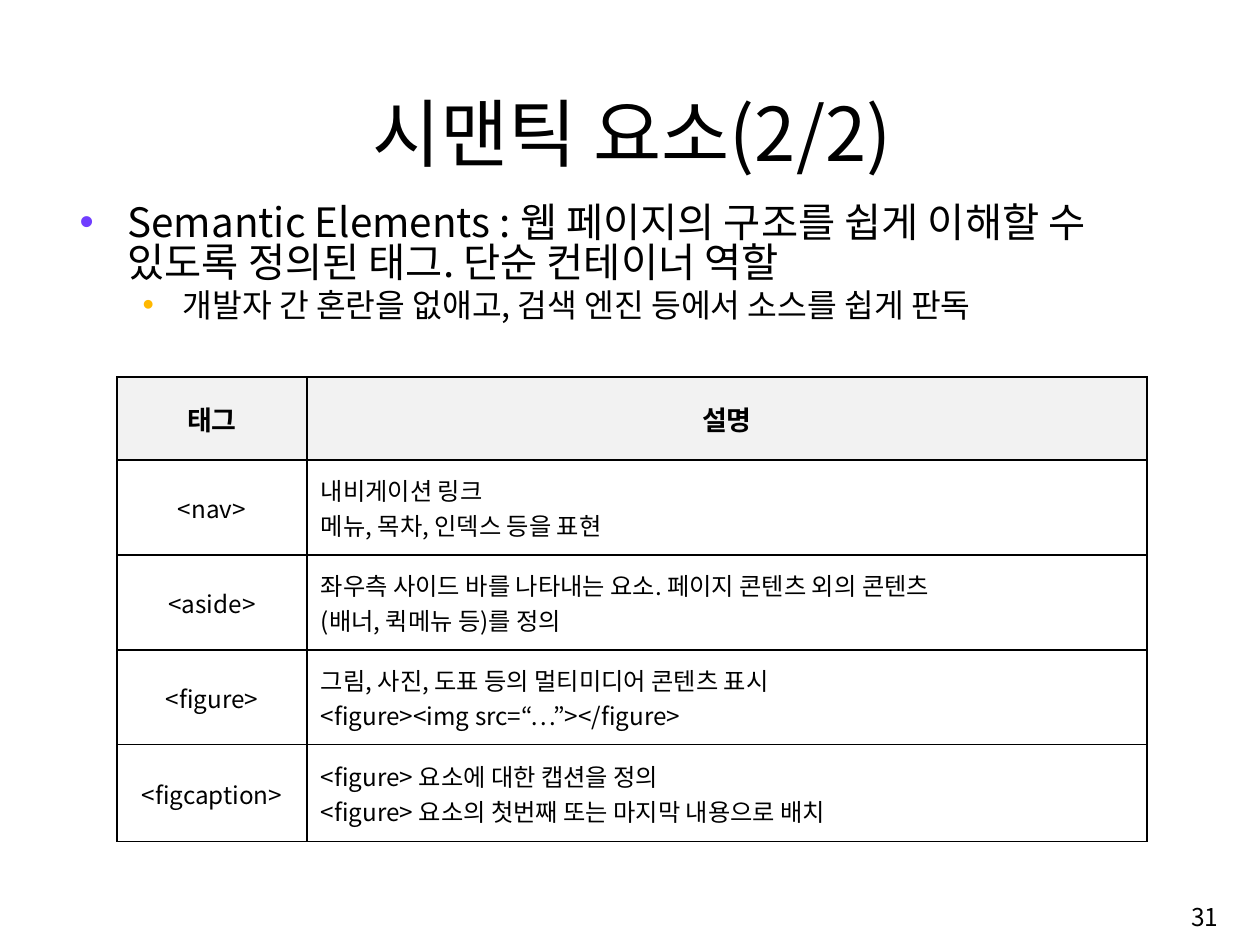
from dataclasses import dataclass

from lxml import etree
from pptx import Presentation
from pptx.dml.color import RGBColor
from pptx.enum.text import MSO_ANCHOR, MSO_AUTO_SIZE, PP_ALIGN
from pptx.oxml.ns import qn
from pptx.util import Pt

LEFT, CENTER, RIGHT, JUSTIFY = PP_ALIGN.LEFT, PP_ALIGN.CENTER, PP_ALIGN.RIGHT, PP_ALIGN.JUSTIFY
TOP, MIDDLE, BOTTOM = MSO_ANCHOR.TOP, MSO_ANCHOR.MIDDLE, MSO_ANCHOR.BOTTOM
FIXED_SIZE = MSO_AUTO_SIZE.NONE
TITLE_ONLY = 5
EMU_PER_PX = 914400 / 97


@dataclass(frozen=True)
class Theme:
    font: str = "Noto Sans CJK KR"
    ink: str = "000000"
    header_fill: str = "F2F2F2"
    bullet_colors: tuple = ("703DFF", "FFB800")
    body_sizes: tuple = (30, 24)
    title_size: float = 55
    header_size: float = 20
    cell_size: float = 18
    number_size: float = 18.2
    body_spacing: float = 0.82
    border_width: float = 1


def px(length):
    return round(length * EMU_PER_PX)


def add_color(parent, color):
    fill = etree.SubElement(parent, qn("a:solidFill"))
    etree.SubElement(fill, qn("a:srgbClr"), val=color)


class SlideBuilder:
    def __init__(self, slide, theme):
        self.slide, self.theme = slide, theme

    def set_lines(self, frame, lines, size, align, bold=False):
        """Put lines into a frame, one paragraph each."""
        frame.text = "\n".join(lines)
        for paragraph in frame.paragraphs:
            paragraph.alignment = align
            for run in paragraph.runs:
                font = run.font
                font.size, font.bold, font.name = Pt(size), bold, self.theme.font
                font.color.rgb = RGBColor.from_string(self.theme.ink)
                etree.SubElement(font._element, qn("a:ea"), typeface=self.theme.font)

    def title(self, text, left, top, width, height):
        heading = self.slide.shapes.title
        heading.left, heading.top = px(left), px(top)
        heading.width, heading.height = px(width), px(height)
        frame = heading.text_frame
        frame.auto_size = FIXED_SIZE
        frame.vertical_anchor = BOTTOM
        self.set_lines(frame, [text], self.theme.title_size, CENTER)

    def text(self, lines, left, top, width, height, size, align, anchor):
        box = self.slide.shapes.add_textbox(px(left), px(top), px(width), px(height))
        frame = box.text_frame
        frame.word_wrap = True
        frame.vertical_anchor = anchor
        self.set_lines(frame, lines, size, align)
        return frame

    def bullets(self, items, indents, left, top, width, height):
        """Place one item per outline level; indents are (margin, hanging)."""
        theme = self.theme
        frame = self.text(items, left, top, width, height, theme.body_sizes[0], LEFT, TOP)
        levels = zip(frame.paragraphs, theme.body_sizes, theme.bullet_colors, indents)
        for level, (paragraph, size, color, (margin, hanging)) in enumerate(levels):
            paragraph.level = level
            paragraph.line_spacing = theme.body_spacing
            paragraph.space_before = Pt(size * 0.2)
            for run in paragraph.runs:
                run.font.size = Pt(size)
            properties = paragraph._p.get_or_add_pPr()
            properties.set("marL", str(px(margin)))
            properties.set("indent", str(-px(hanging)))
            bullet_color = etree.SubElement(properties, qn("a:buClr"))
            etree.SubElement(bullet_color, qn("a:srgbClr"), val=color)
            etree.SubElement(properties, qn("a:buFont"), typeface="Arial")
            etree.SubElement(properties, qn("a:buChar"), char="•")

    def table(self, header, rows, left, top, widths, heights):
        frame = self.slide.shapes.add_table(
            len(rows) + 1, len(header), px(left), px(top), px(sum(widths)), px(sum(heights)))
        grid = frame.table
        grid.first_row = grid.horz_banding = False
        for column, width in zip(grid.columns, widths):
            column.width = px(width)
        for row, height in zip(grid.rows, heights):
            row.height = px(height)
        for column, label in enumerate(header):
            self.cell(grid.cell(0, column), [label], CENTER, is_header=True)
        for row, (tag, description) in enumerate(rows, start=1):
            self.cell(grid.cell(row, 0), [tag], CENTER)
            self.cell(grid.cell(row, 1), description, JUSTIFY, inset=14)

    def cell(self, cell, lines, align, inset=9, is_header=False):
        theme = self.theme
        cell.vertical_anchor = MIDDLE
        cell.margin_left, cell.margin_right = px(inset), px(9)
        cell.margin_top = cell.margin_bottom = px(3)
        size = theme.header_size if is_header else theme.cell_size
        self.set_lines(cell.text_frame, lines, size, align, bold=is_header)
        properties = cell._tc.get_or_add_tcPr()
        for side in ("lnL", "lnR", "lnT", "lnB"):
            border = etree.SubElement(properties, qn(f"a:{side}"), w=str(Pt(theme.border_width)))
            add_color(border, theme.ink)
        if is_header:
            cell.fill.solid()
            cell.fill.fore_color.rgb = RGBColor.from_string(theme.header_fill)
        else:
            cell.fill.background()


def main():
    deck = Presentation()
    deck.slide_width, deck.slide_height = px(1260), px(945)
    theme = Theme()
    builder = SlideBuilder(deck.slides.add_slide(deck.slide_layouts[TITLE_ONLY]), theme)

    # Title and page number
    builder.title("시맨틱 요소(2/2)", 117, 76, 1030, 105)
    builder.text(["31"], 968, 888, 260, 58, theme.number_size, RIGHT, MIDDLE)

    # Definition of semantic elements
    definition = [
        "Semantic Elements : 웹 페이지의 구조를 쉽게 이해할 수 있도록 정의된 태그. 단순 컨테이너 역할",
        "개발자 간 혼란을 없애고, 검색 엔진 등에서 소스를 쉽게 판독",
    ]
    builder.bullets(definition, [(48, 48), (103, 40)], 70, 201, 1124, 689)

    # Tags and their descriptions
    tags = [
        ("<nav>", ["내비게이션 링크", "메뉴, 목차, 인덱스 등을 표현"]),
        ("<aside>", ["좌우측 사이드 바를 나타내는 요소. 페이지 콘텐츠 외의 콘텐츠",
                     "(배너, 퀵메뉴 등)를 정의"]),
        ("<figure>", ["그림, 사진, 도표 등의 멀티미디어 콘텐츠 표시",
                      "<figure><img src=“…”></figure>"]),
        ("<figcaption>", ["<figure> 요소에 대한 캡션을 정의",
                          "<figure> 요소의 첫번째 또는 마지막 내용으로 배치"]),
    ]
    builder.table(["태그", "설명"], tags, 117, 377, [190, 840], [83, 95, 95, 95, 97])

    deck.save("out.pptx")


if __name__ == "__main__":
    main()
